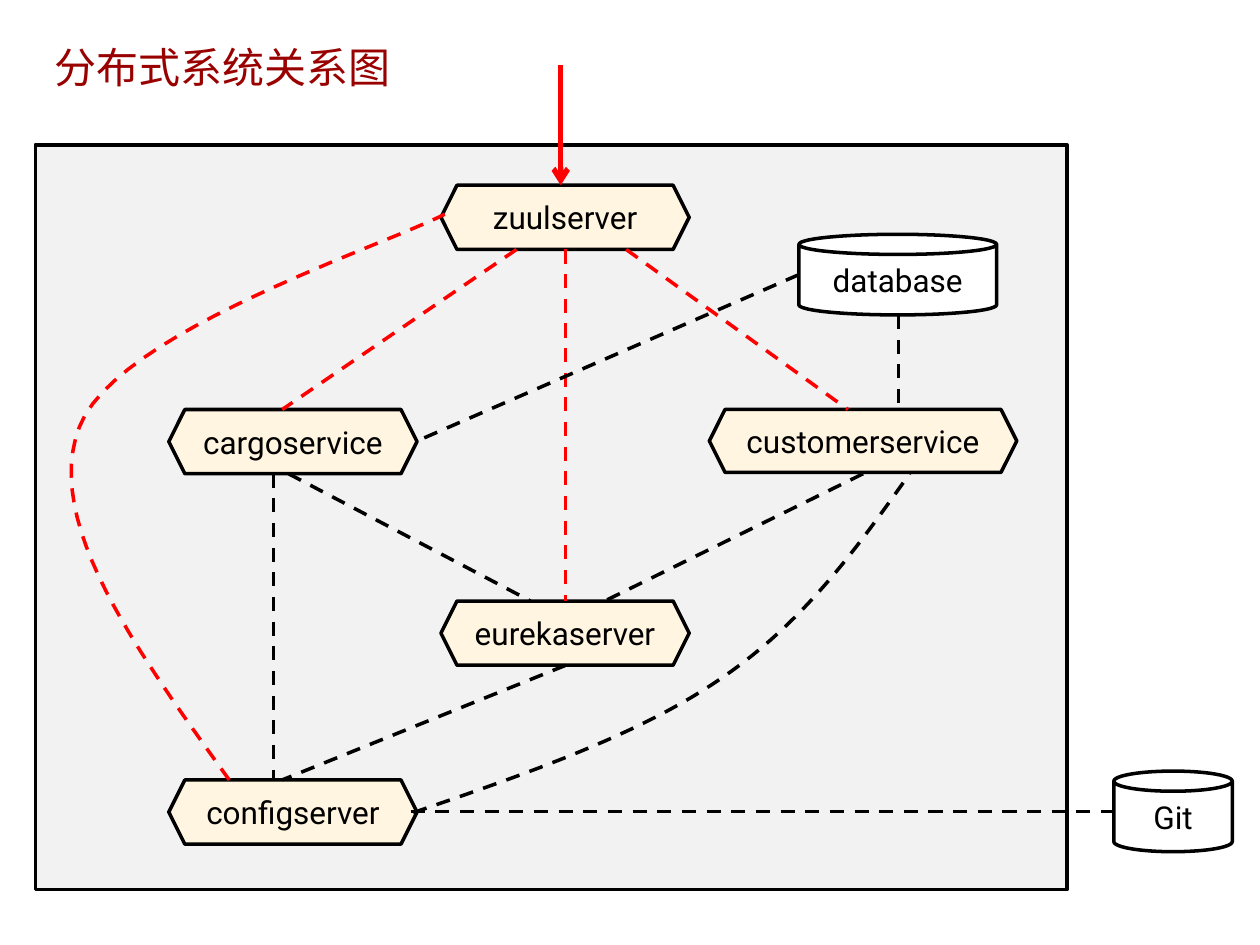
import pptx
import pptx.dml.color
import pptx.enum.dml
import pptx.enum.shapes
import pptx.enum.text
import pptx.oxml
import pptx.oxml.ns
import pptx.util

Inches = pptx.util.Inches
Pt = pptx.util.Pt
SHAPES = pptx.enum.shapes.MSO_SHAPE
BLACK, RED = "000000", "FF0000"
SERVER_SIZE = (1.97, 0.51)

# name: kind, left, top, width, height
NODES = {
    "eurekaserver": ("hexagon", 3.5, 4.77, *SERVER_SIZE),
    "configserver": ("hexagon", 1.34, 6.19, *SERVER_SIZE),
    "zuulserver": ("hexagon", 3.5, 1.47, *SERVER_SIZE),
    "database": ("can", 6.34, 1.86, 1.57, 0.64),
    "cargoservice": ("hexagon", 1.34, 3.25, *SERVER_SIZE),
    "customerservice": ("hexagon", 5.63, 3.25, 2.44, 0.5),
    "Git": ("can", 8.84, 6.12, 0.94, 0.64),
}
NODE_STYLES = {"hexagon": (SHAPES.HEXAGON, "FFF5E0"), "can": (SHAPES.CAN, "FFFFFF")}

# start, end, colour
STRAIGHT_LINKS = [
    ((4.49, 1.98), (4.49, 4.77), RED),      # zuulserver - eurekaserver
    ((2.29, 3.76), (4.21, 4.77), BLACK),    # cargoservice - eurekaserver
    ((4.49, 5.28), (2.24, 6.19), BLACK),    # eurekaserver - configserver
    ((6.85, 3.76), (4.8, 4.77), BLACK),     # customerservice - eurekaserver
    ((4.1, 1.98), (2.24, 3.25), RED),       # zuulserver - cargoservice
    ((4.97, 1.98), (6.73, 3.25), RED),      # zuulserver - customerservice
    ((6.34, 2.18), (3.31, 3.5), BLACK),     # database - cargoservice
    ((7.13, 2.5), (7.13, 3.25), BLACK),     # database - customerservice
    ((2.17, 3.76), (2.17, 6.18), BLACK),    # cargoservice - configserver
    ((3.26, 6.44), (8.84, 6.44), BLACK),    # configserver - Git
]
# Bezier points (anchor, two handles, anchor, ...), colour
CURVED_LINKS = [
    ([(1.82, 6.19), (1.08, 5.16), (0.34, 4.14), (0.63, 3.39),
      (0.91, 2.64), (3.05, 1.95), (3.53, 1.7)], RED),
    ([(3.28, 6.45), (4.18, 6.14), (5.08, 5.83), (5.73, 5.38),
      (6.39, 4.93), (6.8, 4.35), (7.22, 3.76)], BLACK),
]


def color(value):
    return pptx.dml.color.RGBColor.from_string(value)


def format_line(line, value, width=2, dashed=False):
    line.color.rgb = color(value)
    line.width = Pt(width)
    if dashed:
        line.dash_style = pptx.enum.dml.MSO_LINE.DASH


def format_frame(frame, inset, **values):
    for side in ("left", "top", "right", "bottom"):
        setattr(frame, f"margin_{side}", Inches(inset))
    values["vertical_anchor"] = pptx.enum.text.MSO_ANCHOR.MIDDLE
    for name, value in values.items():
        setattr(frame, name, value)


def write_text(paragraph, text, value, alignment, **font_values):
    paragraph.alignment = alignment
    run = paragraph.add_run()
    run.text = text
    run.font.color.rgb = color(value)
    for name, setting in font_values.items():
        setattr(run.font, name, setting)
    return run


def add_box(slide, kind, fill, box):
    shape = slide.shapes.add_shape(kind, *map(Inches, box))
    shape.shadow.inherit = False
    shape.fill.solid()
    shape.fill.fore_color.rgb = color(fill)
    format_line(shape.line, BLACK)
    return shape


def add_title(slide, text, box):
    title = slide.shapes.title
    title.left, title.top, title.width, title.height = map(Inches, box)
    format_frame(title.text_frame, 0, word_wrap=True)
    run = write_text(title.text_frame.paragraphs[0], text, "990000",
                     pptx.enum.text.PP_ALIGN.LEFT,
                     name="Noto Sans CJK SC", size=Pt(24), bold=False)
    # East Asian typeface
    typeface = pptx.oxml.parse_xml(
        f'<a:ea {pptx.oxml.ns.nsdecls("a")} typeface="Noto Sans CJK SC"/>')
    run.font._element.append(typeface)


def add_node(slide, name, kind, *box):
    preset, fill = NODE_STYLES[kind]
    node = add_box(slide, preset, fill, box)
    format_frame(node.text_frame, 0.05, word_wrap=False)
    write_text(node.text_frame.paragraphs[0], name, BLACK,
               pptx.enum.text.PP_ALIGN.CENTER, name="Roboto", size=Pt(18))


def add_straight(slide, start, end, value, width=2, dashed=True):
    connector = slide.shapes.add_connector(
        pptx.enum.shapes.MSO_CONNECTOR.STRAIGHT, *map(Inches, start + end))
    format_line(connector.line, value, width, dashed)
    connector._element.spPr.append(
        pptx.oxml.parse_xml(f'<a:effectLst {pptx.oxml.ns.nsdecls("a")}/>'))
    return connector


def bezier_points(points, steps=24):
    for first in range(0, len(points) - 1, 3):
        p0, p1, p2, p3 = points[first:first + 4]
        for step in range(1, steps + 1):
            t = step / steps
            u = 1 - t
            yield tuple(u**3 * a + 3 * u * u * t * b + 3 * u * t * t * c + t**3 * d
                        for a, b, c, d in zip(p0, p1, p2, p3))


def add_curve(slide, points, value):
    # The builder rounds to whole units, so lengths go in as EMU
    start, *stops = [tuple(map(Inches, point))
                     for point in (points[0], *bezier_points(points))]
    builder = slide.shapes.build_freeform(*start)
    builder.add_line_segments(stops, close=False)
    curve = builder.convert_to_shape()
    curve.shadow.inherit = False
    curve.fill.background()
    format_line(curve.line, value, dashed=True)


def add_entry_arrow(slide, start, end):
    arrow = add_straight(slide, start, end, RED, width=3, dashed=False)
    arrow.line._get_or_add_ln().append(pptx.oxml.parse_xml(
        f'<a:tailEnd {pptx.oxml.ns.nsdecls("a")} type="arrow"/>'))


def build_system_diagram(slide, box):
    add_box(slide, SHAPES.RECTANGLE, "F2F2F2", box)
    for name, node in NODES.items():
        add_node(slide, name, *node)
    for start, end, value in STRAIGHT_LINKS:
        add_straight(slide, start, end, value)
    for points, value in CURVED_LINKS:
        add_curve(slide, points, value)
    add_entry_arrow(slide, (4.45, 0.52), (4.45, 1.47))


presentation = pptx.Presentation()
presentation.slide_width = Inches(10)
presentation.slide_height = Inches(7.5)
slide = presentation.slides.add_slide(presentation.slide_layouts[5])
add_title(slide, "分布式系统关系图", (0.43, 0.12, 2.99, 0.82))
build_system_diagram(slide, (0.28, 1.15, 8.19, 5.91))
presentation.save("out.pptx")
